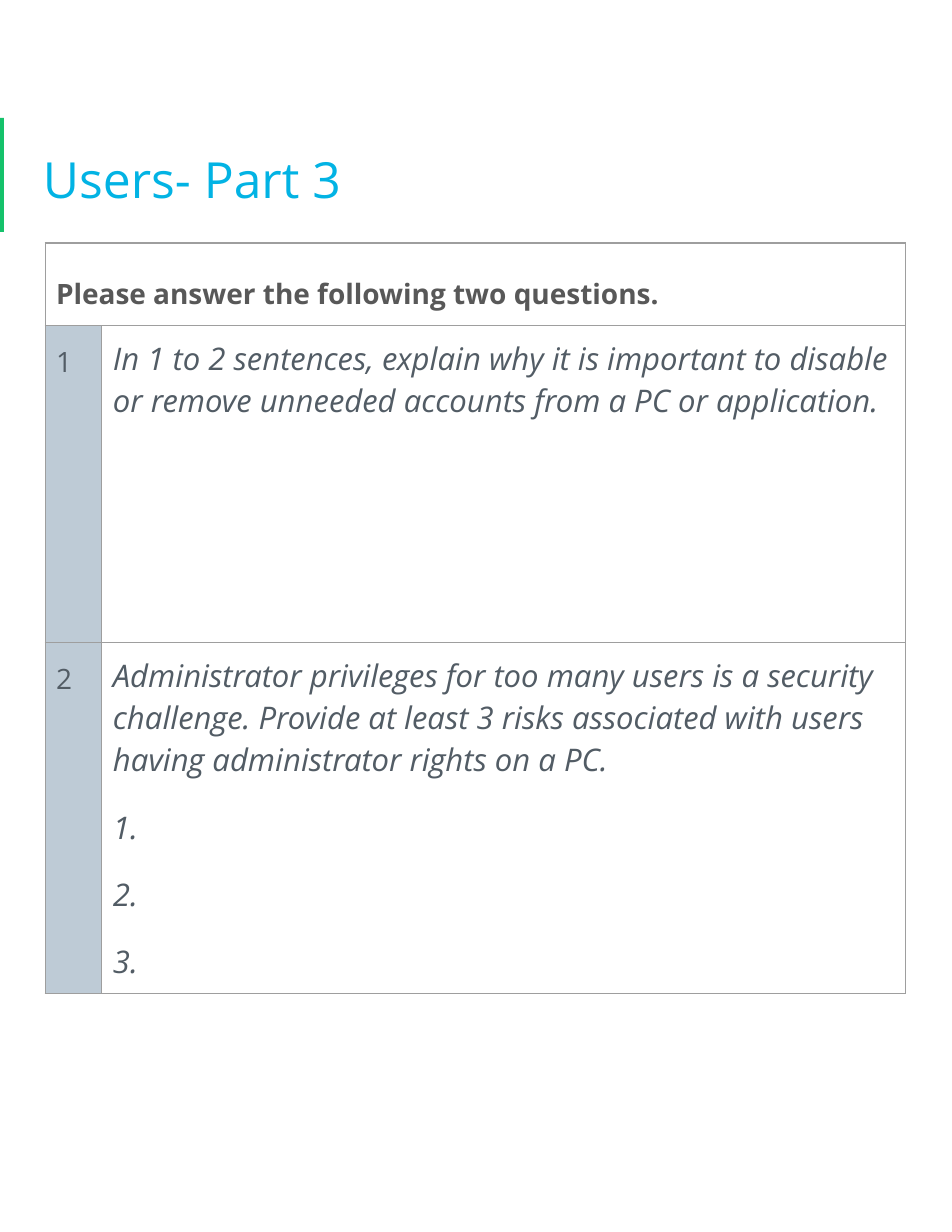
from lxml.etree import SubElement
from pptx import Presentation
from pptx.dml.color import RGBColor
from pptx.enum.shapes import MSO_SHAPE as Shape
from pptx.enum.text import MSO_ANCHOR as Anchor, MSO_AUTO_SIZE as AutoSize, PP_ALIGN as Align
from pptx.oxml.ns import qn
from pptx.util import Emu, Pt

TITLE = "Users- Part 3"
HEADING = "Please answer the following two questions."
QUESTIONS = [
    ("1", ["In 1 to 2 sentences, explain why it is important to disable or remove "
           "unneeded accounts from a PC or application."]),
    ("2", ["Administrator privileges for too many users is a security challenge. "
           "Provide at least 3 risks associated with users having administrator "
           "rights on a PC.", "1.", "2.", "3."]),
]

FONT = "Open Sans"
GREEN, BLUE, GREY, SLATE = "15C26B", "02B3E4", "585858", "525C65"
NUMBER_FILL, BORDER = "BECBD6", "9E9E9E"
PAGE_SIZE = 952, 1232
ACCENT_BOX = 0, 118, 4, 114
TITLE_BOX = 32, 106, 887, 137
TABLE_LEFT, TABLE_TOP = 45, 243
COLUMNS = [57, 804]
ROWS = [83, 317, 351]
INSET = 11


def px(length):
    return Emu(length * 914400 // 112)


def color(value):
    return RGBColor.from_string(value)


def write(frame, texts, size, ink, spacing=1.0, bold=False, italic=False):
    frame.text = "\n".join(texts)
    for index, para in enumerate(frame.paragraphs):
        para.alignment = Align.LEFT
        para.line_spacing = spacing
        para.space_before = Pt(16 if index else 0)
        for span in para.runs:
            font = span.font
            font.name, font.size = FONT, Pt(size)
            font.bold, font.italic = bold, italic
            font.color.rgb = color(ink)


def set_insets(box):
    box.margin_left = box.margin_right = px(INSET)
    box.margin_top = box.margin_bottom = px(INSET)


def add_borders(cell):
    properties = cell._tc.get_or_add_tcPr()
    for side in ("a:lnL", "a:lnR", "a:lnT", "a:lnB"):
        line = SubElement(properties, qn(side), w=str(Pt(0.75)))
        fill = SubElement(line, qn("a:solidFill"))
        SubElement(fill, qn("a:srgbClr"), val=BORDER)


deck = Presentation()
deck.slide_width, deck.slide_height = map(px, PAGE_SIZE)
page = deck.slides.add_slide(deck.slide_layouts[5])

accent = page.shapes.add_shape(Shape.RECTANGLE, *map(px, ACCENT_BOX))
accent.shadow.inherit = False
accent.fill.solid()
accent.fill.fore_color.rgb = color(GREEN)
accent.line.fill.background()

title = page.shapes.title
title.left, title.top, title.width, title.height = map(px, TITLE_BOX)
frame = title.text_frame
frame.word_wrap = True
frame.auto_size = AutoSize.NONE
frame.vertical_anchor = Anchor.MIDDLE
set_insets(frame)
write(frame, [TITLE], 32, BLUE, spacing=1.15)

table = page.shapes.add_table(
    len(ROWS), len(COLUMNS), px(TABLE_LEFT), px(TABLE_TOP),
    px(sum(COLUMNS)), px(sum(ROWS))).table
table.first_row = table.horz_banding = False
for column, width in zip(table.columns, COLUMNS):
    column.width = px(width)
for row, height in zip(table.rows, ROWS):
    row.height = px(height)
for cell in table.iter_cells():
    set_insets(cell)
    add_borders(cell)
    cell.fill.background()

heading = table.cell(0, 0)
heading.merge(table.cell(0, 1))
heading.vertical_anchor = Anchor.MIDDLE
write(heading.text_frame, [HEADING], 18, GREY, spacing=1.5, bold=True)

for row, (number, texts) in enumerate(QUESTIONS, start=1):
    number_cell, question_cell = table.cell(row, 0), table.cell(row, 1)
    number_cell.fill.solid()
    number_cell.fill.fore_color.rgb = color(NUMBER_FILL)
    write(number_cell.text_frame, [number], 18, SLATE, spacing=1.15)
    write(question_cell.text_frame, texts, 20, SLATE, italic=True)

deck.save("out.pptx")
